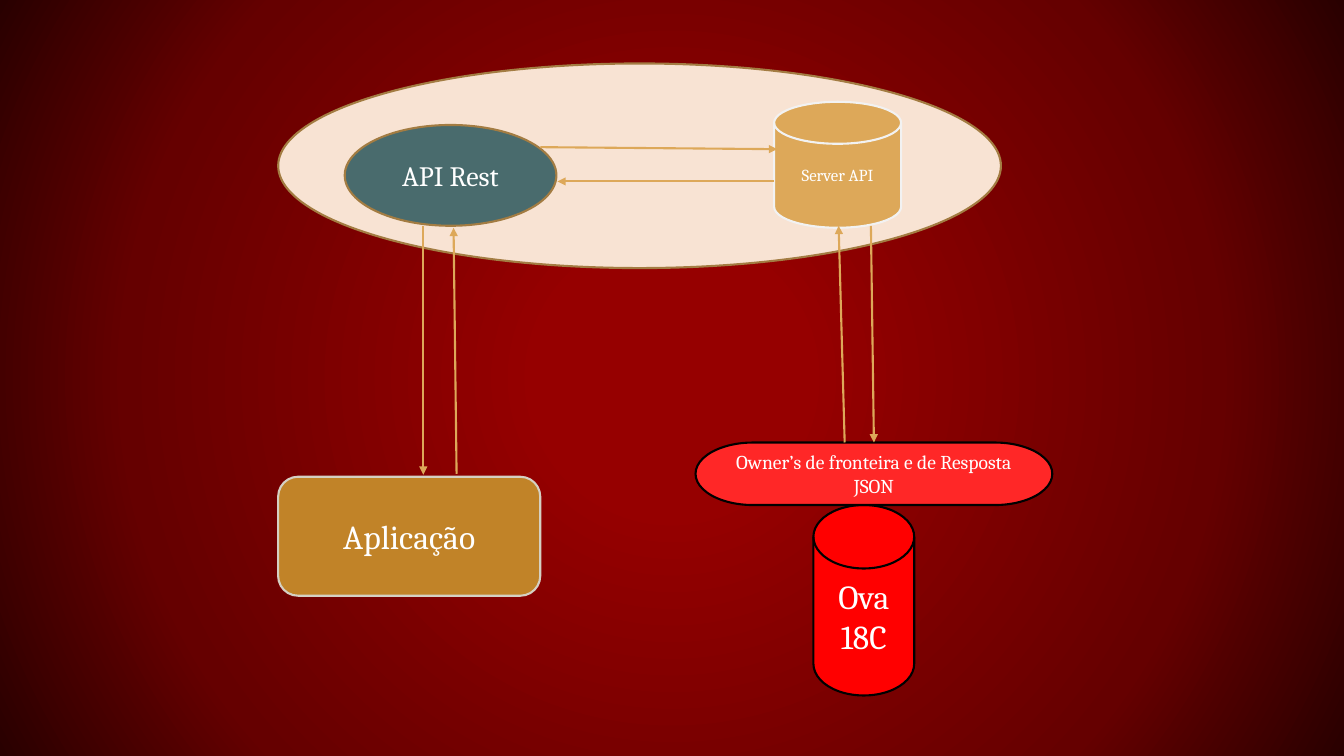
from lxml import etree
from pptx import Presentation, util as u
from pptx.dml.color import RGBColor
from pptx.enum import shapes, text
from pptx.oxml import ns

FONT = "Cambria"
COLUMNS, ROWS = 80, 45
LINE_WIDTH = u.Pt(1.5)

WHITE = RGBColor(0xFF, 0xFF, 0xFF)
BLACK = RGBColor(0x00, 0x00, 0x00)
CREAM = RGBColor(0xF8, 0xE3, 0xD3)
BRONZE = RGBColor(0xA3, 0x7C, 0x42)
TEAL = RGBColor(0x49, 0x6B, 0x6D)
OCHRE = RGBColor(0xC1, 0x83, 0x28)
STONE = RGBColor(0xD5, 0xD0, 0xC3)
GOLD = RGBColor(0xDD, 0xA8, 0x59)
PALE = RGBColor(0xF2, 0xF2, 0xF2)
RED = RGBColor(0xFF, 0x00, 0x00)
LIGHT_RED = RGBColor(0xFF, 0x27, 0x27)
GLOW = [
    (17, RGBColor(0x96, 0x00, 0x00)),
    (71, RGBColor(0x65, 0x00, 0x00)),
    (100, RGBColor(0x29, 0x00, 0x00)),
]


def add_child(parent, tag, **attributes):
    child = etree.SubElement(parent, ns.qn(tag))
    for name, value in attributes.items():
        child.set(name, str(value))
    return child


class Diagram:
    def __init__(self, presentation):
        self.column = presentation.slide_width / COLUMNS
        self.row = presentation.slide_height / ROWS
        self.slide = presentation.slides.add_slide(presentation.slide_layouts[6])

    def place(self, column, row):
        return round(column * self.column), round(row * self.row)

    def background(self, stops):
        self.slide.background.fill.gradient()
        gradient = next(self.slide.element.iter(ns.qn("a:gradFill")))
        for child in list(gradient):
            gradient.remove(child)
        stop_list = add_child(gradient, "a:gsLst")
        for percent, color in stops:
            stop = add_child(stop_list, "a:gs", pos=percent * 1000)
            add_child(stop, "a:srgbClr", val=color)
        circle = add_child(gradient, "a:path", path="circle")
        add_child(circle, "a:fillToRect", l=50000, t=50000, r=50000, b=50000)

    def outline(self, line, color):
        line.color.rgb = color
        line.width = LINE_WIDTH

    def node(self, kind, column, row, width, height, fill, line, label="", size=12):
        shape = self.slide.shapes.add_shape(
            kind, *self.place(column, row), *self.place(width, height))
        shape.shadow.inherit = False
        shape.fill.solid()
        shape.fill.fore_color.rgb = fill
        self.outline(shape.line, line)
        if label:
            self.label(shape.text_frame, label, size)

    def label(self, frame, label, size):
        frame.word_wrap = True
        frame.vertical_anchor = text.MSO_ANCHOR.MIDDLE
        paragraph = frame.paragraphs[0]
        paragraph.alignment = text.PP_ALIGN.CENTER
        run = paragraph.add_run()
        run.text = label
        run.font.name = FONT
        run.font.size = u.Pt(size)
        run.font.color.rgb = WHITE

    def arrow(self, start, end):
        connector = self.slide.shapes.add_connector(
            shapes.MSO_CONNECTOR.STRAIGHT, *self.place(*start), *self.place(*end))
        self.outline(connector.line, GOLD)
        properties = connector.element.spPr
        add_child(properties.find(ns.qn("a:ln")), "a:tailEnd", type="triangle")
        add_child(properties, "a:effectLst")


presentation = Presentation()
presentation.slide_width = u.Inches(13.333)
presentation.slide_height = u.Inches(7.5)
diagram = Diagram(presentation)
diagram.background(GLOW)

kinds = shapes.MSO_SHAPE
diagram.node(kinds.OVAL, 16.56, 3.78, 43.02, 12.18, CREAM, BRONZE)
diagram.node(kinds.FLOWCHART_MAGNETIC_DISK, 48.42, 30.06, 6, 11.34, RED, BLACK, "Ova 18C", 24)
diagram.node(kinds.OVAL, 20.52, 7.44, 12.6, 6, TEAL, BRONZE, "API Rest", 20)
diagram.node(kinds.ROUNDED_RECTANGLE, 16.56, 28.38, 15.6, 7.08, OCHRE, STONE, "Aplicação", 24)
diagram.node(kinds.FLOWCHART_TERMINATOR, 41.4, 26.34, 21.24, 3.72, LIGHT_RED, BLACK,
             "Owner’s de fronteira e de Resposta JSON", 14)
diagram.node(kinds.FLOWCHART_MAGNETIC_DISK, 46.08, 6.06, 7.56, 7.5, GOLD, PALE, "Server API", 12)

for start, end in [
    ((27.18, 28.2), (27, 13.56)),
    ((51.84, 13.44), (52.02, 26.34)),
    ((50.28, 26.34), (49.92, 13.44)),
    ((25.2, 13.44), (25.2, 28.26)),
    ((32.16, 8.76), (46.26, 8.88)),
    ((46.08, 10.8), (33.18, 10.8)),
]:
    diagram.arrow(start, end)

presentation.save("out.pptx")
